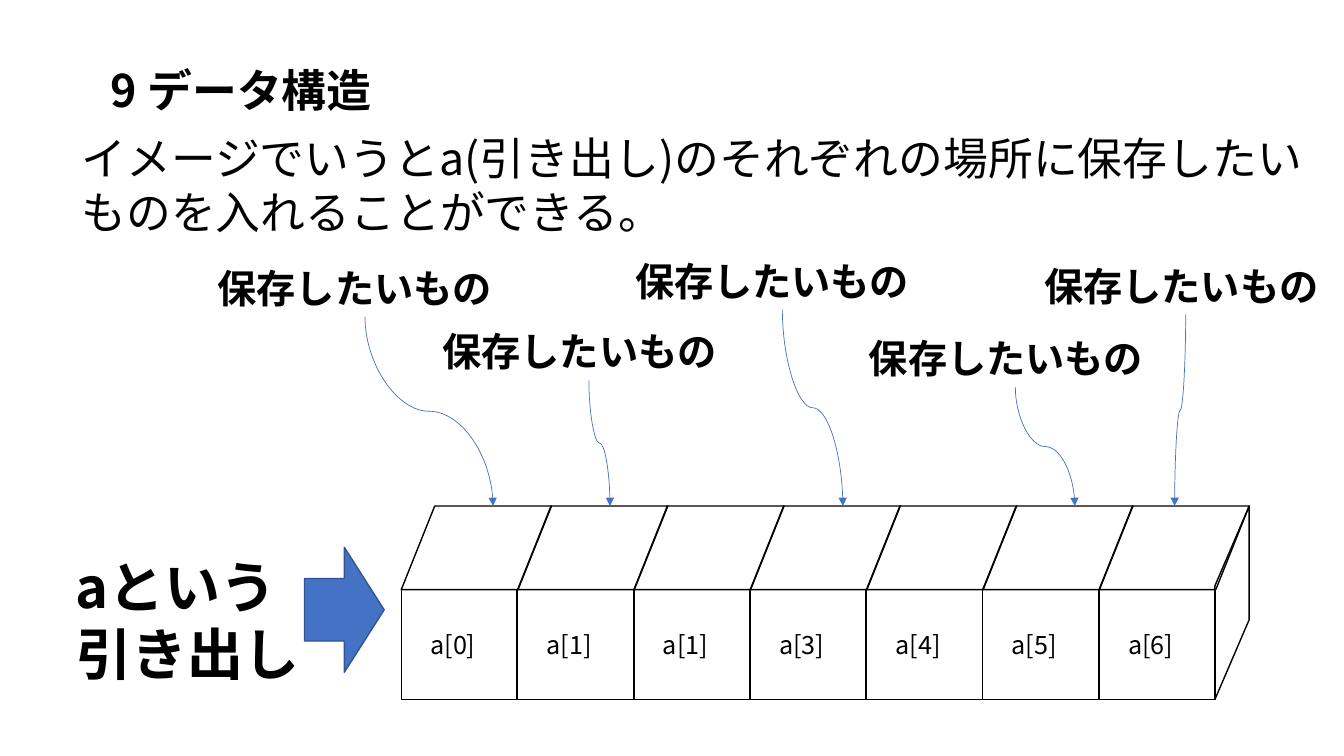
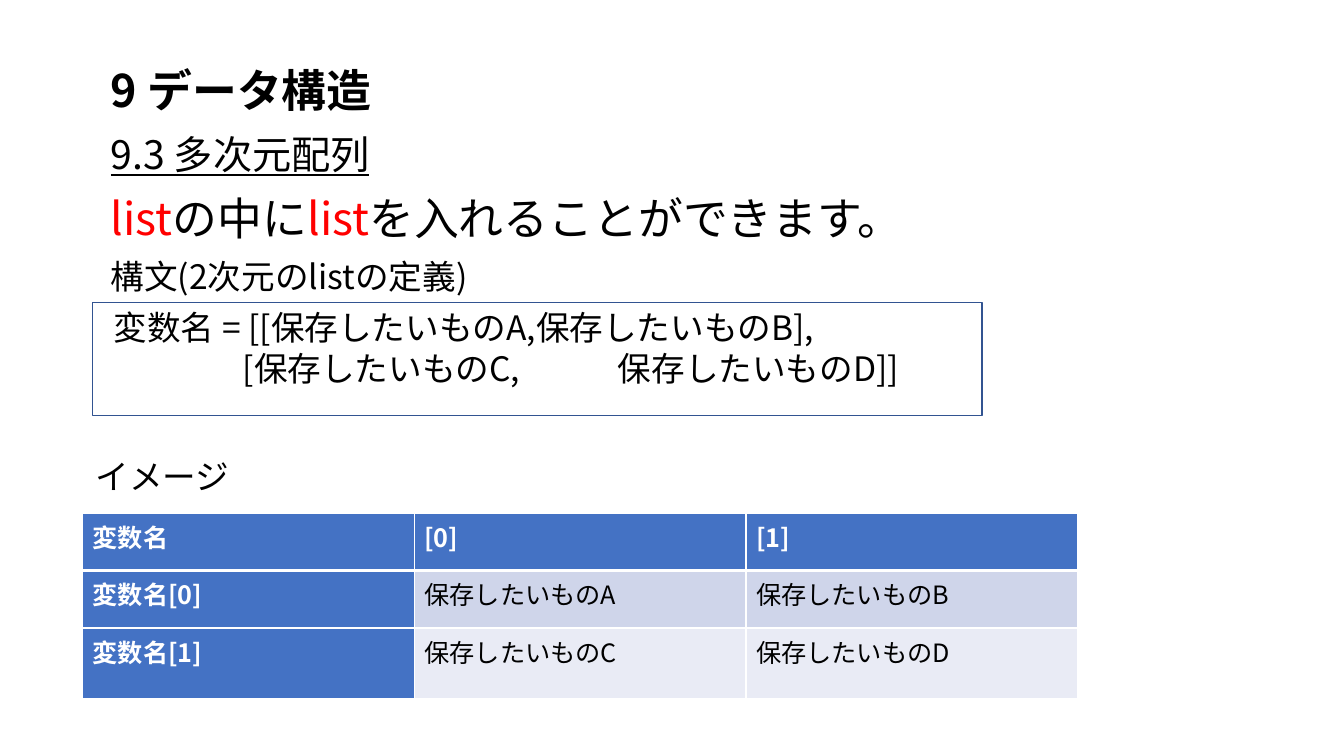
from dataclasses import dataclass
from typing import Any, NamedTuple

from lxml import etree
from pptx import Presentation
from pptx import util as u
from pptx.dml import color as dml
from pptx.enum import shapes, text
from pptx.oxml import ns

# Shared look
FONT = "Noto Sans CJK JP"
BLACK, WHITE, RED = "000000", "FFFFFF", "FF0000"
BLUE, EDGE = "4472C4", "325491"
BANDS = ("CFD5EA", "E9EBF5")
TITLE = "9 データ構造"
ITEM = "保存したいもの"


class Run(NamedTuple):
    text: str
    color: str = BLACK


class Box(NamedTuple):
    left: float
    top: float
    width: float
    height: float


@dataclass
class Item:
    """A stored item: its label and the arrow down to a drawer."""
    box: Box
    start: float
    end: float


def rgb(code: str) -> dml.RGBColor:
    return dml.RGBColor.from_string(code)


def place(box: Box) -> list[u.Length]:
    return [u.Inches(side) for side in box]


def add_run(para: Any, run: Run, size: float, bold: bool = False,
            under: bool = False) -> None:
    part = para.add_run()
    part.text = run.text
    font = part.font
    font.name, font.size, font.bold = FONT, u.Pt(size), bold
    font.underline = under or None
    font.color.rgb = rgb(run.color)
    east = etree.SubElement(font._element, ns.qn("a:ea"))
    east.set("typeface", FONT)


def add_text(slide: Any, box: Box, lines: list[list[Run]], size: float,
             bold: bool = False, under: bool = False) -> Any:
    frame = slide.shapes.add_textbox(*place(box)).text_frame
    frame.word_wrap = True
    for i, line in enumerate(lines):
        para = frame.add_paragraph() if i else frame.paragraphs[0]
        for run in line:
            add_run(para, run, size, bold, under)
    return frame


def add_form(parent: Any, kind: Any, box: Box, line: str,
             fill: str = "") -> Any:
    form = parent.add_shape(kind, *place(box))
    form.shadow.inherit = False
    if fill:
        form.fill.solid()
        form.fill.fore_color.rgb = rgb(fill)
    else:
        form.fill.background()
    form.line.color.rgb = rgb(line)
    form.line.width = u.Pt(1)
    return form


def add_curve(slide: Any, start: tuple[float, float],
              end: tuple[float, float]) -> None:
    """Draw a curved arrow that leaves and arrives vertically."""
    mid_x, mid_y = (start[0] + end[0]) / 2, (start[1] + end[1]) / 2
    half_w, half_h = (end[1] - start[1]) / 2, abs(end[0] - start[0]) / 2
    right = end[0] > start[0]
    if not right:
        half_w = -half_w
    line = slide.shapes.add_connector(
        shapes.MSO_CONNECTOR.CURVE,
        u.Inches(mid_x + half_w), u.Inches(mid_y - half_h),
        u.Inches(mid_x - half_w), u.Inches(mid_y + half_h))
    props = line._element.spPr
    props.find(ns.qn("a:xfrm")).set("rot", str((270 if right else 90) * 60000))
    line.line.color.rgb = rgb(BLUE)
    line.line.width = u.Pt(0.5)
    tail = etree.SubElement(props.find(ns.qn("a:ln")), ns.qn("a:tailEnd"))
    tail.set("type", "triangle")
    etree.SubElement(props, ns.qn("a:effectLst"))


def add_slide(deck: Any) -> Any:
    slide = deck.slides.add_slide(deck.slide_layouts[5])
    title = slide.shapes.title
    title.left, title.top, title.width, title.height = place(
        Box(1, 0.57, 9.72, 0.64))
    frame = title.text_frame
    frame.word_wrap = True
    frame.auto_size = text.MSO_AUTO_SIZE.NONE
    frame.vertical_anchor = text.MSO_ANCHOR.TOP
    para = frame.paragraphs[0]
    para.alignment = text.PP_ALIGN.LEFT
    add_run(para, Run(TITLE), 32, bold=True)
    return slide


def add_edges(cell: Any, top: float, low: float) -> None:
    """Put white borders on a cell, before its fill."""
    props = cell._tc.get_or_add_tcPr()
    widths = {"lnL": 1, "lnR": 1, "lnT": top, "lnB": low}
    for i, (tag, width) in enumerate(widths.items()):
        edge = etree.Element(ns.qn(f"a:{tag}"), w=str(u.Pt(width)))
        fill = etree.SubElement(edge, ns.qn("a:solidFill"))
        etree.SubElement(fill, ns.qn("a:srgbClr"), val=WHITE)
        props.insert(i, edge)


def add_grid(slide: Any, box: Box, rows: list[list[str]],
             heights: list[float]) -> None:
    grid = slide.shapes.add_table(len(rows), len(rows[0]), *place(box)).table
    for r, row in enumerate(rows):
        grid.rows[r].height = u.Inches(heights[r])
        for c, word in enumerate(row):
            cell = grid.cell(r, c)
            head = r == 0 or c == 0
            cell.fill.solid()
            cell.fill.fore_color.rgb = rgb(BLUE if head else BANDS[r - 1])
            add_edges(cell, 3 if r == 1 else 1, 3 if r == 0 else 1)
            add_run(cell.text_frame.paragraphs[0],
                    Run(word, WHITE if head else BLACK), 18, bold=head)


def add_chest(slide: Any) -> float:
    """Draw the row of drawers and return the height of its upper edge."""
    names = ["a[0]", "a[1]", "a[1]", "a[3]", "a[4]", "a[5]", "a[6]"]
    left, top, front = 3.98, 5.02, 5.85
    wide, tall, depth = 1.15, 1.09, 0.34
    step = (10.9 - left) / (len(names) - 1)
    group = slide.shapes.add_group_shape().shapes
    kinds = shapes.MSO_SHAPE
    for i in range(len(names)):
        x = left + i * step
        add_form(group, kinds.RECTANGLE, Box(x, front, wide, tall), BLACK)
        lid = add_form(group, kinds.PARALLELOGRAM,
                       Box(x, top, wide + depth, front - top), BLACK)
        lid.adjustments[0] = 0.4
    # Right side of the chest
    side = add_form(group, kinds.PARALLELOGRAM,
                    Box(11.26, 5.81, 1.92, depth), BLACK)
    side.adjustments[0] = 2.33
    side.rotation = 90
    side._element.spPr.find(ns.qn("a:xfrm")).set("flipH", "1")
    for i, name in enumerate(names):
        add_text(slide, Box(left + 0.19 + i * step, 6.19, 0.8, 0.4),
                 [[Run(name)]], 18)
    return top


def draw_image(deck: Any) -> None:
    slide = add_slide(deck)
    intro = ("イメージでいうとa(引き出し)のそれぞれの場所に"
             "保存したいものを入れることができる。")
    add_text(slide, Box(0.71, 1.25, 12.54, 1.18), [[Run(intro)]], 32)
    top = add_chest(slide)

    # Name of the chest
    add_form(slide.shapes, shapes.MSO_SHAPE.RIGHT_ARROW,
             Box(3.02, 5.43, 0.79, 1.24), EDGE, BLUE)
    add_text(slide, Box(0.65, 5.43, 3.75, 1.45),
             [[Run("aという")], [Run("引き出し")]], 40, bold=True)

    # Items and their drawers
    items = [
        Item(Box(2.06, 2.57, 3.11, 0.57), 3.62, 4.89),
        Item(Box(4.29, 3.2, 3.11, 0.57), 5.84, 6.05),
        Item(Box(6.2, 2.5, 3.11, 0.57), 7.76, 8.36),
        Item(Box(8.52, 3.27, 3.11, 0.57), 10.07, 10.66),
        Item(Box(10.26, 2.55, 2.99, 0.57), 11.76, 11.65),
    ]
    for item in items:
        add_text(slide, item.box, [[Run(ITEM)]], 28, bold=True)
        low = item.box.top + item.box.height
        add_curve(slide, (item.start, low), (item.end, top))


def draw_array(deck: Any) -> None:
    slide = add_slide(deck)
    add_text(slide, Box(1, 1.24, 9.72, 0.57),
             [[Run("9.3 多次元配列")]], 28, under=True)
    add_text(slide, Box(1, 1.84, 11.66, 0.64),
             [[Run("list", RED), Run("の中に"), Run("list", RED),
               Run("を入れることができます。")]], 32)

    # Syntax
    add_text(slide, Box(1, 2.49, 4.51, 0.5),
             [[Run("構文(2次元のlistの定義)")]], 24)
    add_form(slide.shapes, shapes.MSO_SHAPE.RECTANGLE,
             Box(0.92, 3, 8.82, 1.12), EDGE)
    code = add_text(slide, Box(1.03, 3, 8.62, 0.91),
                    [[Run(f"変数名 = [[{ITEM}A,{ITEM}B],")],
                     [Run(f"\t[{ITEM}C,\t{ITEM}D]]")]], 24)
    props = code.paragraphs[1]._p.get_or_add_pPr()
    tabs = etree.SubElement(props, ns.qn("a:tabLst"))
    for stop in (1.28, 5):
        etree.SubElement(tabs, ns.qn("a:tab"),
                         pos=str(u.Inches(stop)), algn="l")

    # Table
    add_text(slide, Box(0.85, 4.47, 3.88, 0.5), [[Run("イメージ")]], 24)
    rows = [["変数名", "[0]", "[1]"],
            ["変数名[0]", f"{ITEM}A", f"{ITEM}B"],
            ["変数名[1]", f"{ITEM}C", f"{ITEM}D"]]
    add_grid(slide, Box(0.82, 5.09, 9.87, 1.84), rows, [0.57, 0.57, 0.7])


def main() -> None:
    deck = Presentation()
    deck.slide_width, deck.slide_height = u.Inches(13.33), u.Inches(7.5)
    draw_image(deck)
    draw_array(deck)
    deck.save("out.pptx")


if __name__ == "__main__":
    main()
